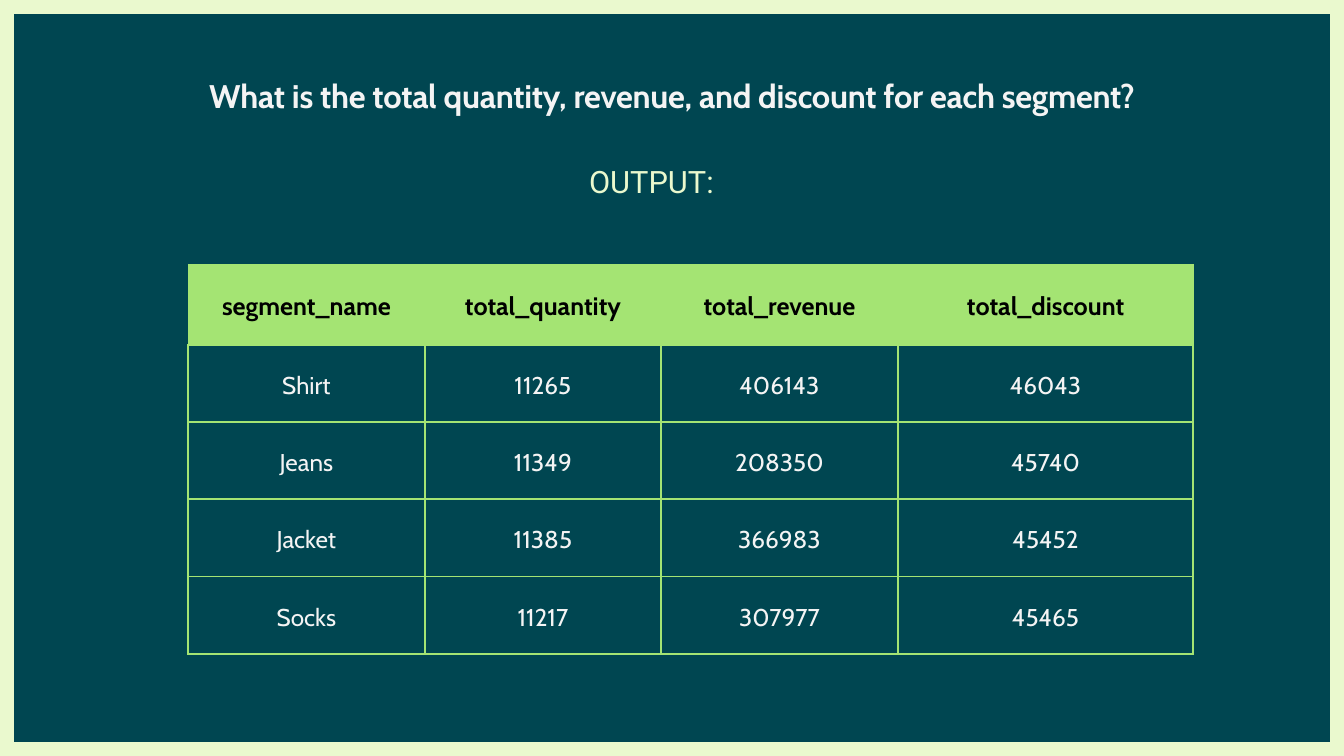
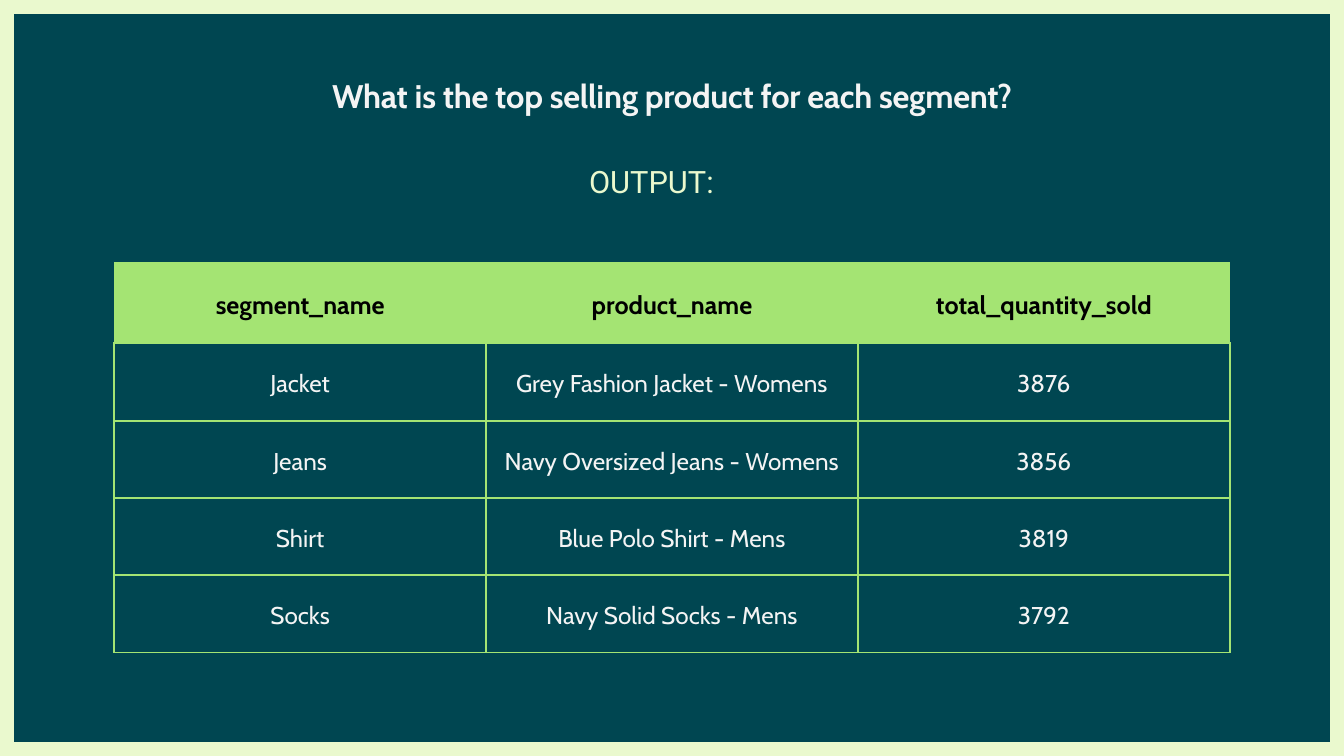
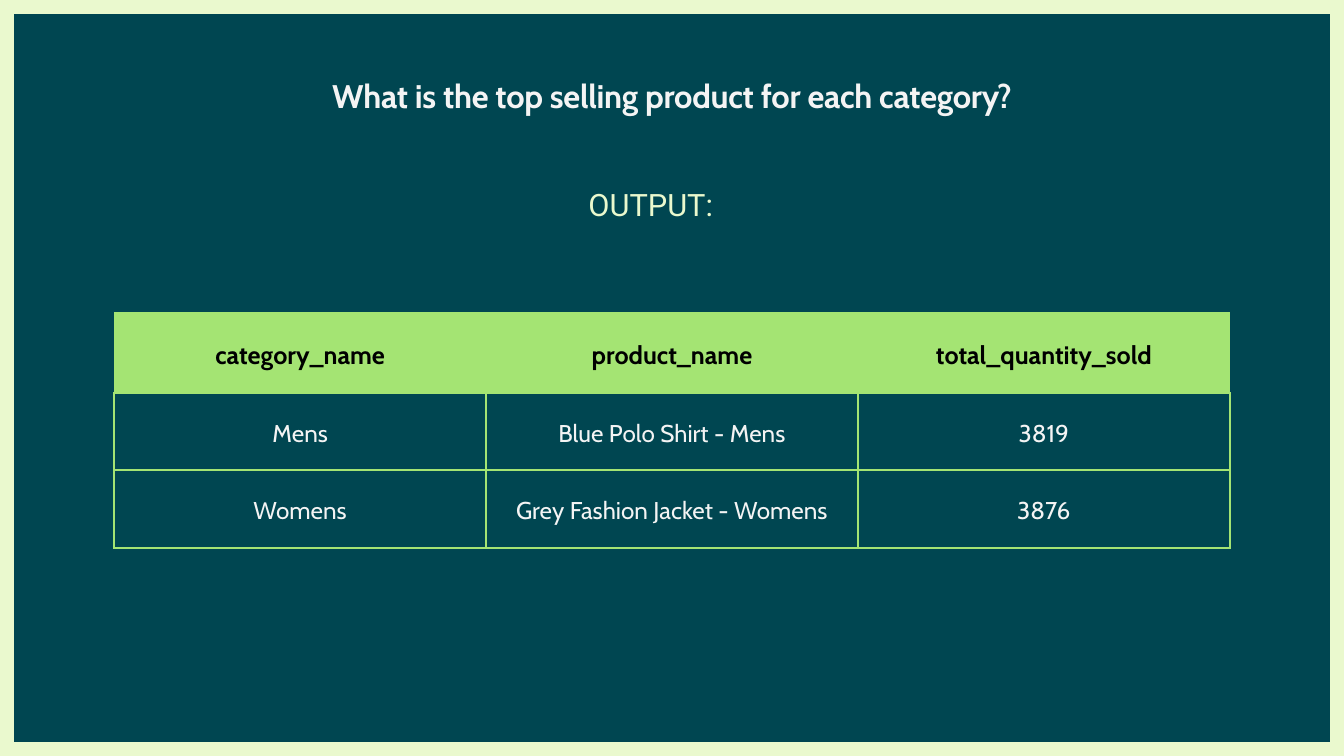
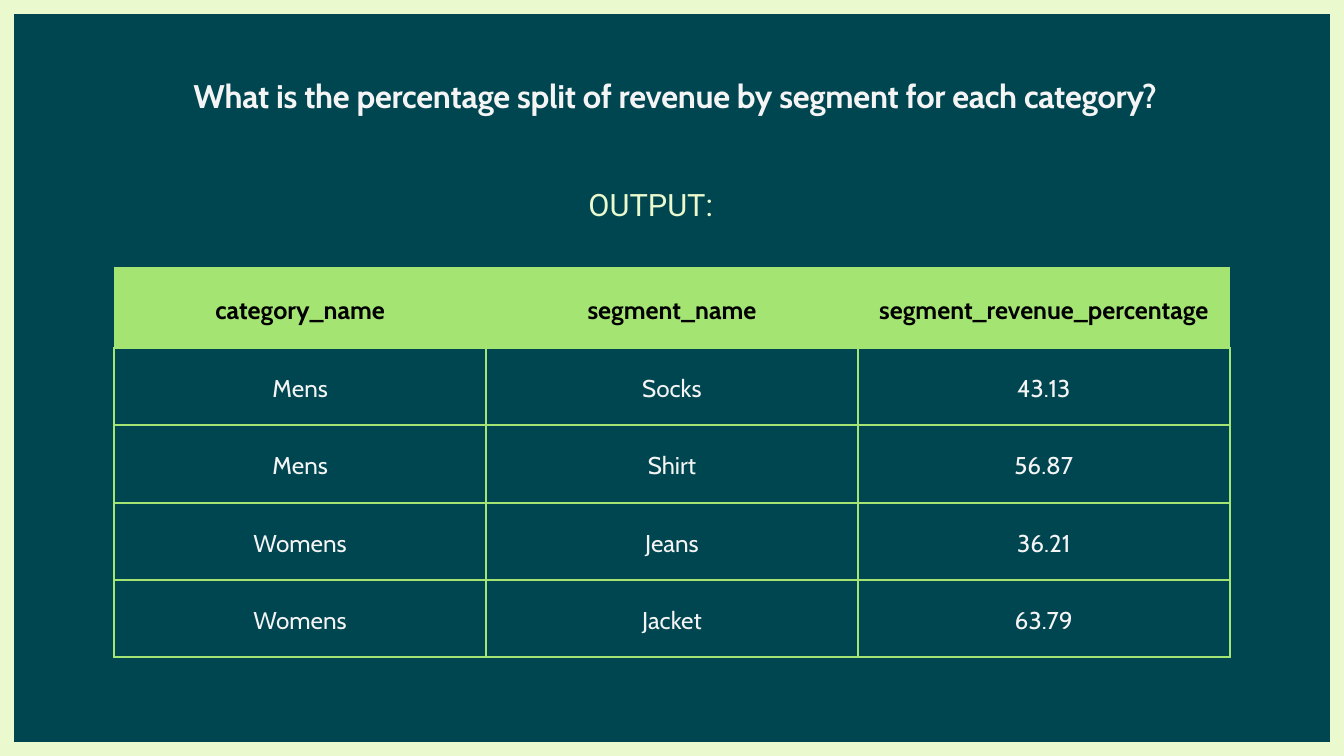
"""Build four slides that answer sales questions with output tables."""
from dataclasses import dataclass

from lxml.etree import SubElement
from pptx import Presentation
from pptx.dml.color import RGBColor
from pptx.enum.shapes import MSO_SHAPE
from pptx.enum.text import MSO_ANCHOR, PP_ALIGN
from pptx.oxml.ns import qn
from pptx.util import Inches, Pt


@dataclass(frozen=True)
class TextStyle:
    font: str
    size: float
    leading: float
    color: str
    bold: bool = False
    tracking: float = 0


@dataclass(frozen=True)
class Theme:
    page: str = "F4F4F4"
    panel: str = "004651"
    frame: str = "EAF9CE"
    accent: str = "A4E473"
    frame_width: float = 30
    grid_width: float = 2.25
    header_width: float = 0.75
    question: TextStyle = TextStyle("Cabin", 35, 45.5, "F4F4F4", True, -0.3)
    output: TextStyle = TextStyle("Roboto", 33, 49.5, "EAF9CE")
    header: TextStyle = TextStyle("Cabin", 27, 37.8, "000000", True)
    body: TextStyle = TextStyle("Cabin", 26, 36.4, "F4F4F4")


THEME = Theme()
SLIDE_WIDTH, SLIDE_HEIGHT = 20, 11.25
HEADER_HEIGHT, ROW_HEIGHT = 1.2, 1.15
CELL_MARGIN = 0.13
THIRDS = [16.6 / 3] * 3

ANSWERS = [
    {
        "question": "What is the total quantity, revenue, and discount for each segment?",
        "question_span": (2.59, 14.82),
        "output_at": (1.71, 2.29),
        "table_at": (2.8, 3.93),
        "columns": [3.52, 3.52, 3.52, 4.4],
        "rows": [
            ("segment_name", "total_quantity", "total_revenue", "total_discount"),
            ("Shirt", "11265", "406143", "46043"),
            ("Jeans", "11349", "208350", "45740"),
            ("Jacket", "11385", "366983", "45452"),
            ("Socks", "11217", "307977", "45465"),
        ],
    },
    {
        "question": "What is the top selling product for each segment?",
        "question_span": (2.59, 14.82),
        "output_at": (1.71, 2.29),
        "table_at": (1.7, 3.91),
        "columns": THIRDS,
        "rows": [
            ("segment_name", "product_name", "total_quantity_sold"),
            ("Jacket", "Grey Fashion Jacket - Womens", "3876"),
            ("Jeans", "Navy Oversized Jeans - Womens", "3856"),
            ("Shirt", "Blue Polo Shirt - Mens", "3819"),
            ("Socks", "Navy Solid Socks - Mens", "3792"),
        ],
    },
    {
        "question": "What is the top selling product for each category?",
        "question_span": (2.59, 14.82),
        "output_at": (1.7, 2.62),
        "table_at": (1.7, 4.65),
        "columns": THIRDS,
        "rows": [
            ("category_name", "product_name", "total_quantity_sold"),
            ("Mens", "Blue Polo Shirt - Mens", "3819"),
            ("Womens", "Grey Fashion Jacket - Womens", "3876"),
        ],
    },
    {
        "question": "What is the percentage split of revenue by segment for each category?",
        "question_span": (2.19, 15.71),
        "output_at": (1.7, 2.62),
        "table_at": (1.7, 3.98),
        "columns": THIRDS,
        "rows": [
            ("category_name", "segment_name", "segment_revenue_percentage"),
            ("Mens", "Socks", "43.13"),
            ("Mens", "Shirt", "56.87"),
            ("Womens", "Jeans", "36.21"),
            ("Womens", "Jacket", "63.79"),
        ],
    },
]


def paint(fill, color):
    fill.solid()
    fill.fore_color.rgb = RGBColor.from_string(color)


def write(text_frame, text, style):
    paragraph = text_frame.paragraphs[0]
    run = paragraph.add_run()
    run.text = text
    if style.tracking:
        run._r.get_or_add_rPr().set("spc", str(round(style.tracking * 100)))
    paragraph.alignment = PP_ALIGN.CENTER
    paragraph.line_spacing = Pt(style.leading)
    paragraph.font.name = style.font
    paragraph.font.size = Pt(style.size)
    paragraph.font.bold = style.bold
    paragraph.font.color.rgb = RGBColor.from_string(style.color)


def add_line(slide, text, left, top, width, height, style):
    box = slide.shapes.add_textbox(Inches(left), Inches(top), Inches(width), Inches(height))
    frame = box.text_frame
    frame.word_wrap = True
    frame.margin_left = frame.margin_right = frame.margin_top = frame.margin_bottom = 0
    write(frame, text, style)


def add_panel(slide):
    paint(slide.background.fill, THEME.page)
    panel = slide.shapes.add_shape(
        MSO_SHAPE.RECTANGLE, 0, 0, Inches(SLIDE_WIDTH), Inches(SLIDE_HEIGHT)
    )
    panel.shadow.inherit = False
    paint(panel.fill, THEME.panel)
    paint(panel.line.fill, THEME.frame)
    panel.line.width = Pt(THEME.frame_width)


def set_borders(cell, is_header):
    properties = cell._tc.get_or_add_tcPr()
    for side in ("lnL", "lnR", "lnT", "lnB"):
        thin = is_header and side != "lnB"
        width = THEME.header_width if thin else THEME.grid_width
        border = SubElement(properties, qn(f"a:{side}"), w=str(Pt(width)))
        SubElement(SubElement(border, qn("a:solidFill")), qn("a:srgbClr"), val=THEME.accent)


def add_output_table(slide, rows, columns, left, top):
    heights = [HEADER_HEIGHT] + [ROW_HEIGHT] * (len(rows) - 1)
    table = slide.shapes.add_table(
        len(rows), len(columns), Inches(left), Inches(top),
        Inches(sum(columns)), Inches(sum(heights)),
    ).table
    table.horz_banding = False
    for column, width in zip(table.columns, columns):
        column.width = Inches(width)
    for index, (row, height, values) in enumerate(zip(table.rows, heights, rows)):
        row.height = Inches(height)
        is_header = index == 0
        for cell, value in zip(row.cells, values):
            cell.vertical_anchor = MSO_ANCHOR.MIDDLE
            cell.margin_left = cell.margin_right = Inches(CELL_MARGIN)
            cell.margin_top = cell.margin_bottom = Inches(CELL_MARGIN)
            set_borders(cell, is_header)
            paint(cell.fill, THEME.accent if is_header else THEME.panel)
            write(cell.text_frame, value, THEME.header if is_header else THEME.body)


def add_answer(presentation, answer):
    slide = presentation.slides.add_slide(presentation.slide_layouts[6])
    add_panel(slide)
    add_output_table(slide, answer["rows"], answer["columns"], *answer["table_at"])
    left, width = answer["question_span"]
    add_line(slide, answer["question"], left, 1.08, width, 0.62, THEME.question)
    add_line(slide, "OUTPUT:", *answer["output_at"], 15.97, 0.65, THEME.output)


def main():
    presentation = Presentation()
    presentation.slide_width = Inches(SLIDE_WIDTH)
    presentation.slide_height = Inches(SLIDE_HEIGHT)
    for answer in ANSWERS:
        add_answer(presentation, answer)
    presentation.save("out.pptx")


if __name__ == "__main__":
    main()
